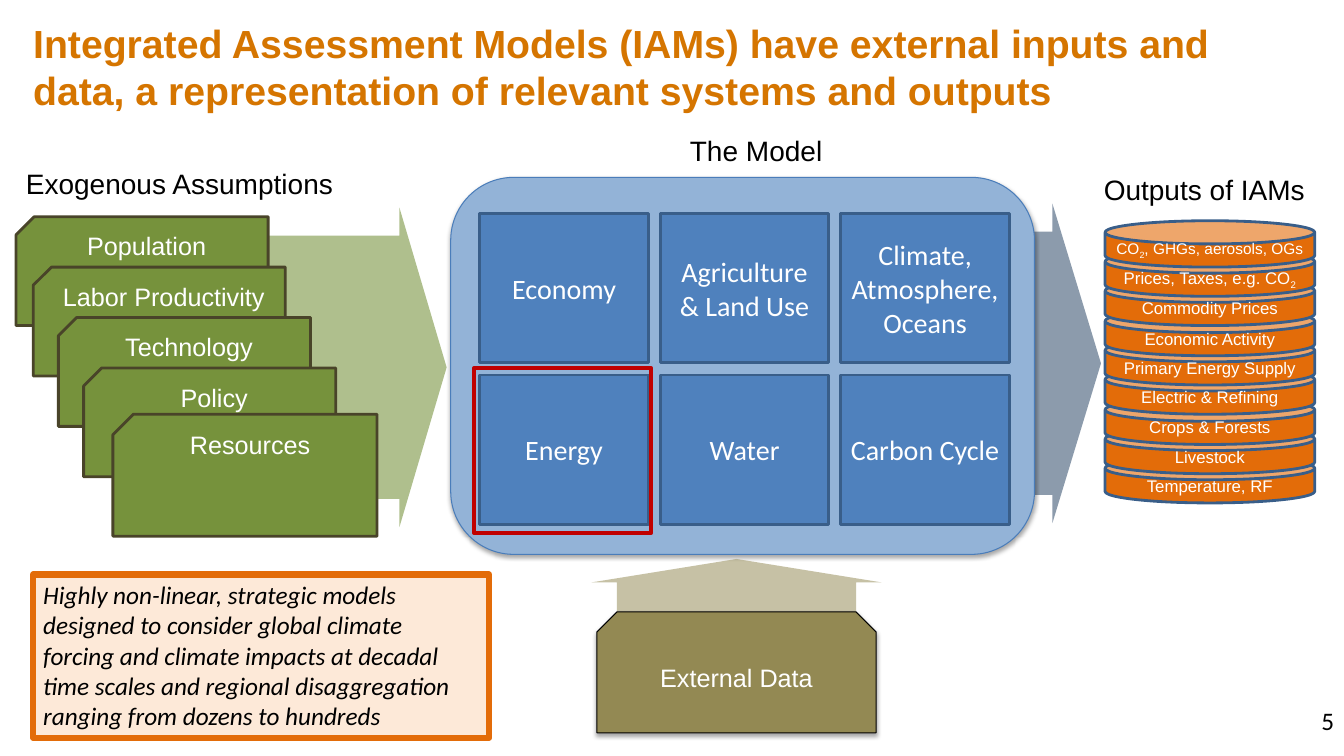
import pptx
import pptx.dml.color
import pptx.enum.shapes
import pptx.enum.text
import pptx.oxml
import pptx.oxml.ns
import pptx.util

SCALE = 9144
SHAPES = pptx.enum.shapes.MSO_SHAPE
ALIGN = pptx.enum.text.PP_ALIGN
ANCHOR = pptx.enum.text.MSO_ANCHOR


class Theme:
    title, black, white = "D57500", "000000", "FFFFFF"
    green, card_line = "76923C", "494429"
    panel, panel_line = "93B3D7", "4A7DBA"
    blue, blue_line = "4F81BD", "395E89"
    orange, peach = "E36C09", "FDE9D8"
    olive, navy, red = "938953", "244061", "C00000"
    sans, body = "Arial", "Calibri"
    title_size, heading_size, text_size = 28, 20, 18
    output_size, long_output_size = 12, 11


def add_shape(kind, frame, fill=None, line=None, line_width=2, adjustments=(),
              alpha=None, shadow=False):
    shape = slide.shapes.add_shape(kind, *(value * SCALE for value in frame))
    shape.shadow.inherit = False
    for index, value in enumerate(adjustments):
        shape.adjustments[index] = value
    if fill:
        shape.fill.solid()
        shape.fill.fore_color.rgb = pptx.dml.color.RGBColor.from_string(fill)
    else:
        shape.fill.background()
    if line:
        shape.line.color.rgb = pptx.dml.color.RGBColor.from_string(line)
        shape.line.width = pptx.util.Pt(line_width)
    else:
        shape.line.fill.background()
    properties = shape._element.spPr
    if alpha:
        color = properties.find(".//" + pptx.oxml.ns.qn("a:srgbClr"))
        color.append(pptx.oxml.parse_xml(
            f'<a:alpha {pptx.oxml.ns.nsdecls("a")} val="{alpha * 1000}"/>'))
    if shadow:
        properties.find(pptx.oxml.ns.qn("a:effectLst")).append(pptx.oxml.parse_xml(
            f'<a:outerShdw {pptx.oxml.ns.nsdecls("a")} blurRad="40000" dist="23000" '
            'dir="5400000" rotWithShape="0"><a:srgbClr val="000000">'
            '<a:alpha val="35000"/></a:srgbClr></a:outerShdw>'))
    return shape


def write(shape, segments, size, color=Theme.white, font=Theme.sans,
          align=ALIGN.CENTER, anchor=ANCHOR.TOP, margins=(10, 5), bold=False, italic=False):
    frame = shape.text_frame
    frame.word_wrap = True
    frame.vertical_anchor = anchor
    frame.margin_left = frame.margin_right = margins[0] * SCALE
    frame.margin_top = frame.margin_bottom = margins[1] * SCALE
    paragraph = frame.paragraphs[0]
    paragraph.alignment = align
    paragraph.font.size = pptx.util.Pt(size)
    paragraph.font.name = font
    paragraph.font.bold = bold
    paragraph.font.italic = italic
    paragraph.font.color.rgb = pptx.dml.color.RGBColor.from_string(color)
    for index, segment in enumerate(segments.split("|")):
        run = paragraph.add_run()
        run.text = segment
        if index % 2:
            run._r.get_or_add_rPr().set("baseline", "-25000")


presentation = pptx.Presentation()
presentation.slide_width = 1333 * SCALE
presentation.slide_height = 750 * SCALE
slide = presentation.slides.add_slide(presentation.slide_layouts[6])

arrow_head = (0.824, 0.152)
add_shape(SHAPES.RIGHT_ARROW, (478, 202, 614, 317), Theme.navy,
          adjustments=arrow_head, alpha=52)
add_shape(SHAPES.ROUNDED_RECTANGLE, (447, 176, 579, 374), Theme.panel,
          Theme.panel_line, 0.75, (0.167,), shadow=True)
add_shape(SHAPES.RIGHT_ARROW, (135, 206, 308, 317), Theme.green,
          adjustments=arrow_head, alpha=58)

title = slide.shapes.add_textbox(*(value * SCALE for value in (33, 19, 1226, 94)))
write(title, "Integrated Assessment Models (IAMs) have external inputs and data, "
      "a representation of relevant systems and outputs", Theme.title_size,
      Theme.title, align=ALIGN.LEFT, margins=(0, 0), bold=True)

page_number = slide.shapes.add_textbox(*(value * SCALE for value in (1022, 695, 311, 40)))
write(page_number, "5", Theme.text_size, Theme.black, Theme.body, ALIGN.RIGHT)

headings = [
    ("Exogenous Assumptions", (24, 165, 308, 50), (0, 0)),
    ("The Model", (596, 132, 308, 50), (0, 0)),
    ("Outputs of IAMs", (1075, 166, 239, 50), (10, 5)),
]
for text, frame, margins in headings:
    heading = slide.shapes.add_textbox(*(value * SCALE for value in frame))
    write(heading, text, Theme.heading_size, Theme.black, margins=margins)

assumptions = [
    ("Population", (16, 215, 250, 108)),
    ("Labor Productivity", (33, 265, 250, 108)),
    ("Technology", (58, 315, 250, 108)),
    ("Policy", (83, 365, 250, 108)),
    ("Resources", (112, 411, 262, 121)),
]
for text, frame in assumptions:
    card = add_shape(SHAPES.SNIP_1_RECTANGLE, frame, Theme.green, Theme.card_line,
                     adjustments=(0.167,))
    card._element.spPr.find(pptx.oxml.ns.qn("a:xfrm")).set("flipH", "1")
    write(card, text, Theme.text_size)

outputs = [
    "CO|2|, GHGs, aerosols, OGs", "Prices, Taxes, e.g. CO|2", "Commodity Prices",
    "Economic Activity", "Primary Energy Supply", "Electric & Refining",
    "Crops & Forests", "Livestock", "Temperature, RF",
]
for row, text in reversed(list(enumerate(outputs))):
    can = add_shape(SHAPES.CAN, (1096, 219 + round(row * 29.25), 208, 46),
                    Theme.orange, Theme.blue_line, adjustments=(0.5,))
    size = Theme.output_size if row else Theme.long_output_size
    write(can, text, size, anchor=ANCHOR.MIDDLE)

data_arrow = add_shape(SHAPES.RIGHT_ARROW, (654, 487, 153, 288), Theme.olive,
                       adjustments=arrow_head, alpha=52)
data_arrow.rotation = 270
external_data = add_shape(SHAPES.SNIP_2_SAME_RECTANGLE, (592, 607, 277, 120),
                          Theme.olive, Theme.black, 0.75, (0.167, 0), shadow=True)
write(external_data, "External Data", Theme.text_size, anchor=ANCHOR.MIDDLE)

systems = [
    ["Economy", "Agriculture & Land Use", "Climate, Atmosphere, Oceans"],
    ["Energy", "Water", "Carbon Cycle"],
]
for row, names in enumerate(systems):
    for column, name in enumerate(names):
        system = add_shape(SHAPES.RECTANGLE,
                           (476 + column * 179, 212 + row * 160, 167, 148),
                           Theme.blue, Theme.blue_line)
        write(system, name, Theme.heading_size, font=Theme.body, anchor=ANCHOR.MIDDLE)

note = add_shape(SHAPES.RECTANGLE, (33, 570, 452, 162), Theme.peach, Theme.orange, 4.5)
write(note, "Highly non-linear, strategic models designed to consider global climate "
      "forcing and climate impacts at decadal time scales and regional disaggregation "
      "ranging from dozens to hundreds", Theme.text_size, Theme.black, Theme.body,
      ALIGN.LEFT, italic=True)
add_shape(SHAPES.RECTANGLE, (470, 365, 176, 164), line=Theme.red, line_width=2.5)

presentation.save("out.pptx")
